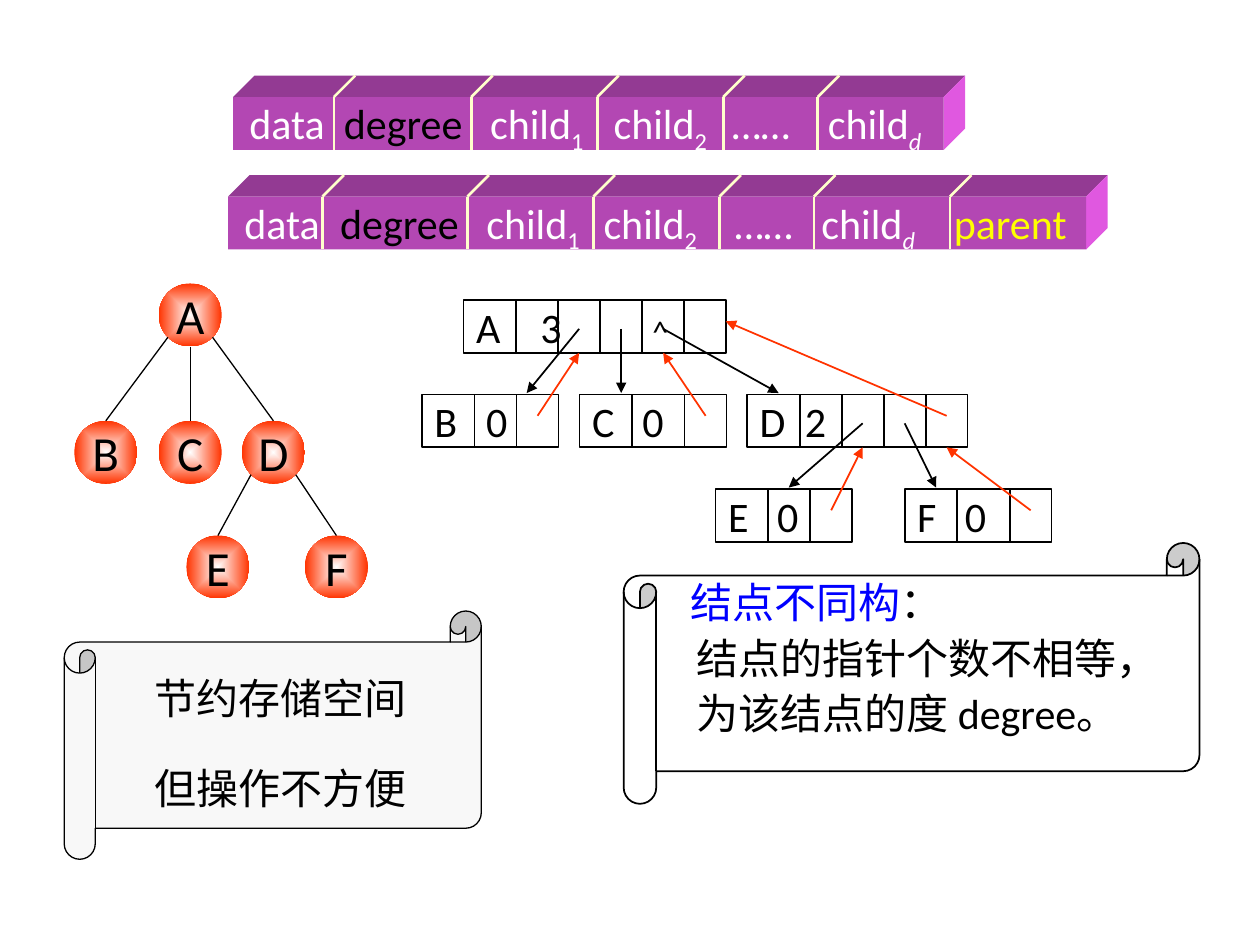
from lxml import etree
from pptx import Presentation
from pptx.dml.color import RGBColor
from pptx.enum import shapes, text
from pptx.oxml import parse_xml
from pptx.oxml.ns import nsdecls, qn
from pptx.util import Inches, Pt

BLACK, WHITE, RED, CREAM = "000000", "FFFFFF", "FF3300", "FFFFCC"
KIND = shapes.MSO_SHAPE
MID, TOP = text.MSO_ANCHOR.MIDDLE, text.MSO_ANCHOR.TOP
LEFT, CENTER = text.PP_ALIGN.LEFT, text.PP_ALIGN.CENTER
FIRST, CELL, HIGH = 5 / 12, 1 / 3, 0.42  # record cells

DEGREE = ("degree", BLACK, "")
FIELDS = [("data", WHITE, ""), DEGREE, ("child", WHITE, "1"),
          ("child", WHITE, "2"), ("……", WHITE, ""), ("child", WHITE, "d")]


def color(code):
    return RGBColor.from_string(code)


def style(shape, fill=None, line=None, width=1):
    shape.shadow.inherit = False
    if fill:
        shape.fill.solid()
        shape.fill.fore_color.rgb = color(fill)
    else:
        shape.fill.background()
    if line:
        shape.line.color.rgb = color(line)
        shape.line.width = Pt(width)
    else:
        shape.line.fill.background()
    return shape


def preset(slide, kind, x, y, w, h, **look):
    box = map(Inches, (x, y, w, h))
    return style(slide.shapes.add_shape(kind, *box), **look)


def frame(shape, anchor=MID, wrap=True, inset=(0.1, 0, 0, 0)):
    body = shape.text_frame
    body.word_wrap, body.vertical_anchor = wrap, anchor
    (body.margin_left, body.margin_top,
     body.margin_right, body.margin_bottom) = map(Inches, inset)
    return body


def write(par, runs, size=24, align=LEFT, space=1.0, tabs=(), indent=0):
    """Fill a paragraph with (text, changes) runs; tabs are in inches."""
    par.alignment, par.line_spacing = align, space
    props = par._p.get_or_add_pPr()
    if indent:
        props.set("marL", str(Inches(indent)))
    if tabs:
        stops = etree.SubElement(props, qn("a:tabLst"))
        for pos in tabs:
            etree.SubElement(stops, qn("a:tab"), pos=str(Inches(pos)), algn="l")
    par.font.size, par.font.name = Pt(size), "Calibri"
    par.font.color.rgb = color(BLACK)
    for words, change in runs:
        run = par.add_run()
        run.text = words
        if "color" in change:
            run.font.color.rgb = color(change["color"])
        if "size" in change:
            run.font.size = Pt(change["size"])
        if change.get("sub"):
            run._r.get_or_add_rPr().set("baseline", "-25000")
            run.font.italic = words.isalpha()


def link(slide, start, end, code=BLACK, width=1.0, arrow=False):
    line = slide.shapes.add_connector(
        shapes.MSO_CONNECTOR.STRAIGHT, *map(Inches, (*start, *end)))
    line.line.color.rgb = color(code)
    line.line.width = Pt(width)
    if arrow:
        etree.SubElement(line.line._get_or_add_ln(), qn("a:tailEnd"), type="triangle")
    etree.SubElement(line._element.spPr, qn("a:effectLst"))
    return line


def face(slide, points, fill):
    spots = [(Inches(x), Inches(y)) for x, y in points]
    build = slide.shapes.build_freeform(*spots[0])
    build.add_line_segments(spots[1:], close=True)
    style(build.convert_to_shape(), fill)


def bar(slide, x, y, w, fields, starts, cuts):
    """Solid bar with one field between each pair of cuts."""
    h, deep = 0.42, 0.17
    right, base = x + w, y + h
    face(slide, [(x, y), (x + deep, y - deep), (right + deep, y - deep),
                 (right, y)], "933A93")
    face(slide, [(right, y), (right + deep, y - deep),
                 (right + deep, base - deep), (right, base)], "E058E0")
    front = preset(slide, KIND.RECTANGLE, x, y, w, h, fill="B347B3")
    runs = []
    for i, (name, code, sub) in enumerate(fields):
        runs.append(("\t" * (i > 0) + name, {"color": code}))
        if sub:
            runs.append((sub, {"color": WHITE, "sub": True}))
    body = frame(front, inset=(starts[0] - x, 0, 0, 0))
    write(body.paragraphs[0], runs, space=1.1,
          tabs=[s - starts[0] for s in starts[1:]])
    for cut in cuts:
        link(slide, (cut, base), (cut, y), CREAM, 1.5)
        link(slide, (cut, y), (cut + deep, y - deep), CREAM, 1.5)


def ball(slide, name, x, y, size):
    node = preset(slide, KIND.OVAL, x, y, size, size)
    props = node._element.spPr
    props.replace(props.find(qn("a:noFill")), parse_xml(
        f'<a:gradFill {nsdecls("a")} rotWithShape="1"><a:gsLst>'
        f'<a:gs pos="0"><a:srgbClr val="{WHITE}"/></a:gs>'
        f'<a:gs pos="100000"><a:srgbClr val="{RED}"/></a:gs></a:gsLst>'
        '<a:path path="shape"><a:fillToRect l="50000" t="50000" r="50000"'
        ' b="50000"/></a:path></a:gradFill>'))
    body = frame(node, wrap=False, inset=(0, 0, 0, 0))
    write(body.paragraphs[0], [(name, {})], 28, CENTER)
    return node


def tree(slide, x, y):
    size = 0.5
    half, slant = size / 2, size / 2 * 0.71
    places = {"A": (0.67, 0), "B": (0, 1.09), "C": (0.67, 1.09),
              "D": (1.33, 1.09), "E": (0.89, 2), "F": (1.83, 2)}
    nodes = {n: ball(slide, n, x + dx, y + dy, size)
             for n, (dx, dy) in places.items()}
    # side: -1 lower left, 0 bottom, 1 lower right
    for up, low, side in [("A", "B", -1), ("A", "C", 0), ("A", "D", 1),
                          ("D", "E", -1), ("D", "F", 1)]:
        px, py = places[up]
        cx, cy = places[low]
        start = (x + px + half + side * slant,
                 y + py + half + (slant if side else half))
        edge = link(slide, start, (x + cx + half, y + cy), width=0.75)
        edge.end_connect(nodes[low], 0)


def record(slide, x, y, cells, runs, tabs):
    """Row of cells; gives back the middle of each cell across."""
    w = sum(cells)
    box = preset(slide, KIND.RECTANGLE, x, y, w, HIGH, line=BLACK)
    write(frame(box).paragraphs[0], runs, tabs=tabs)
    mids, edge = [], x
    for cell in cells:
        if edge > x:
            link(slide, (edge, y), (edge, y + HIGH))
        mids.append(edge + cell / 2)
        edge += cell
    return mids


def heap(slide, x, y):
    """Linked records with child pointers and parent pointers."""
    rows = [y, y + 0.75, y + 1.5]
    leaf, wide = [FIRST, CELL, CELL], [FIRST, FIRST, CELL]
    plan = {
        "A": (0.33, 0, [FIRST] + [CELL] * 5, "3", [0.51, 1.4]),
        "B": (0, 1, leaf, "0", [0.41]),
        "C": (1.25, 1, wide, "0", [0.4]),
        "D": (2.58, 1, [FIRST] + [CELL] * 4, "2", [0.36]),
        "E": (2.33, 2, leaf, "0", [0.39]),
        "F": (3.83, 2, wide, "0", [0.38]),
    }
    mids = {}
    for name, (dx, row, cells, count, tabs) in plan.items():
        runs = [(f"{name}\t{count}", {})]
        if name == "A":
            runs.append(("\t^", {"size": 18}))
        mids[name] = record(slide, x + dx, rows[row], cells, runs, tabs)
    for up, cell, low, end in [("A", 2, "B", 0.83), ("A", 3, "C", 1.58),
                               ("A", 4, "D", 2.83), ("D", 2, "E", 2.91),
                               ("D", 3, "F", 4.08)]:
        start = (mids[up][cell], rows[plan[up][1]] + 0.23)
        link(slide, start, (x + end, rows[plan[low][1]] - 0.01), arrow=True)
    for low, up, cell in [("B", "A", 2), ("C", "A", 4), ("E", "D", 2), ("F", "D", 4)]:
        start = (mids[low][-1], rows[plan[low][1]] + 0.17)
        end = (mids[up][cell], rows[plan[up][1]] + HIGH)
        link(slide, start, end, RED, arrow=True)
    link(slide, (mids["D"][-1], rows[1] + 0.17), (x + 2.41, y + 0.17), RED, arrow=True)


def scroll(slide, box, fill, width, lines, align=LEFT, **room):
    """Scroll with lines of (runs, line spacing, indent)."""
    sheet = preset(slide, KIND.HORIZONTAL_SCROLL, *box, fill=fill, line=BLACK, width=width)
    body = frame(sheet, **room)
    for i, (runs, space, indent) in enumerate(lines):
        par = body.add_paragraph() if i else body.paragraphs[0]
        write(par, runs, align=align, space=space, indent=indent)


def main():
    deck = Presentation()
    deck.slide_width, deck.slide_height = Inches(10), Inches(7.5)
    slide = deck.slides.add_slide(deck.slide_layouts[6])
    scroll(slide, (0.51, 4.85, 3.31, 1.97), "F8F8F8", 0.75,
           [([("节约存储空间", {})], 1.3, 0), ([("但操作不方便", {})], 1.8, 0)],
           CENTER, wrap=False, inset=(0.1, 0.05, 0.1, 0.05))
    tree(slide, 0.59, 2.25)
    bar(slide, 1.85, 0.77, 5.64, FIELDS, [1.98, 2.73, 3.89, 4.87, 5.81, 6.57],
        [2.65, 3.74, 4.74, 5.74, 6.49])
    bar(slide, 1.81, 1.56, 6.81, FIELDS + [("parent", "FFFF00", "")],
        [1.94, 2.7, 3.86, 4.79, 5.83, 6.52, 7.57],
        [2.56, 3.71, 4.71, 5.71, 6.46, 7.54])
    scroll(slide, (4.95, 4.31, 4.57, 2.07), WHITE, 1,
           [([("结点不同构", {"color": "0000FF"}), ("：", {})], 1.0, 0.17),
            ([("结点的指针个数不相等，", {})], 1.1, 0.22),
            ([("为该结点的度 degree。", {})], 1.1, 0.22)],
           anchor=TOP, inset=(0.1, 0.01, 0, 0))
    heap(slide, 3.35, 2.38)
    deck.save("out.pptx")


if __name__ == "__main__":
    main()
